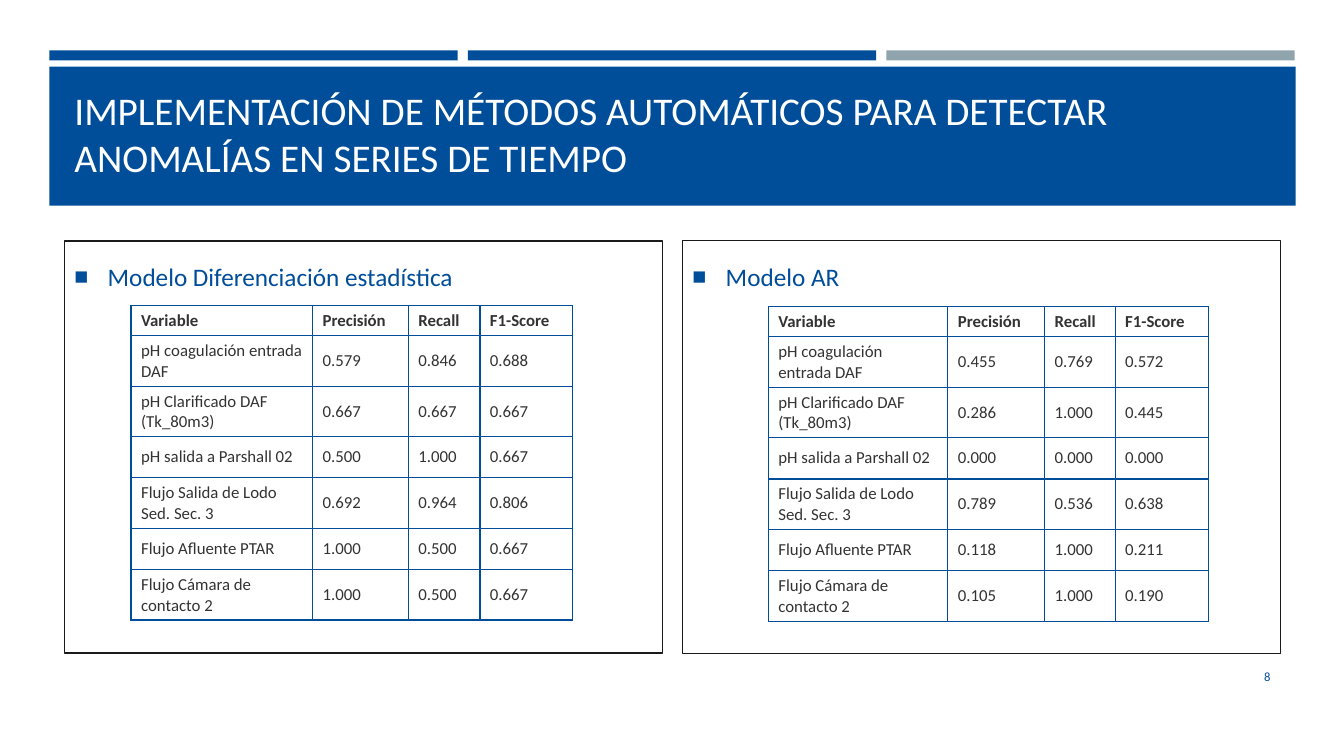
"""Slide comparing two anomaly detection models on plant time series."""
import pptx
import pptx.dml.color
import pptx.enum.shapes
import pptx.enum.text
import pptx.oxml
import pptx.oxml.ns
import pptx.util

Inches = pptx.util.Inches
Pt = pptx.util.Pt
MIDDLE = pptx.enum.text.MSO_ANCHOR.MIDDLE
COLORS = {"blue": "004D99", "gray": "90A4AE", "frame": "1A1A1A", "text": "333333", "white": "FFFFFF"}
NS = pptx.oxml.ns.nsdecls("a")

HEADER = ["Variable", "Precisión", "Recall", "F1-Score"]
VARIABLES = [
    "pH coagulación entrada DAF",
    "pH Clarificado DAF (Tk_80m3)",
    "pH salida a Parshall 02",
    "Flujo Salida de Lodo Sed. Sec. 3",
    "Flujo Afluente PTAR",
    "Flujo Cámara de contacto 2",
]
ROW_HEIGHTS = [0.3, 0.5, 0.5, 0.41, 0.5, 0.41, 0.5]
MODELS = [
    {
        "title": "Modelo Diferenciación estadística",
        "left": 0.64, "line": 1, "table": (1.3, 3.03), "cols": [1.8, 0.95, 0.71, 0.92],
        "scores": [
            ("0.579", "0.846", "0.688"),
            ("0.667", "0.667", "0.667"),
            ("0.500", "1.000", "0.667"),
            ("0.692", "0.964", "0.806"),
            ("1.000", "0.500", "0.667"),
            ("1.000", "0.500", "0.667"),
        ],
    },
    {
        "title": "Modelo AR",
        "left": 6.77, "line": 0.75, "table": (7.62, 3.04), "cols": [1.78, 0.96, 0.7, 0.93],
        "scores": [
            ("0.455", "0.769", "0.572"),
            ("0.286", "1.000", "0.445"),
            ("0.000", "0.000", "0.000"),
            ("0.789", "0.536", "0.638"),
            ("0.118", "1.000", "0.211"),
            ("0.105", "1.000", "0.190"),
        ],
    },
]


def add_rect(left, top, width, height, fill=None):
    sp = s.shapes.add_shape(pptx.enum.shapes.MSO_SHAPE.RECTANGLE,
                            Inches(left), Inches(top), Inches(width), Inches(height))
    sp.shadow.inherit = False
    sp.line.fill.background()
    if fill:
        sp.fill.solid()
        sp.fill.fore_color.rgb = pptx.dml.color.RGBColor.from_string(COLORS[fill])
    else:
        sp.fill.background()
    return sp


def write(tf, text, size, color, align="LEFT", bold=False):
    tf.word_wrap = True
    p = tf.paragraphs[0]
    p.text = text
    p.alignment = pptx.enum.text.PP_ALIGN[align]
    p.font.name = "Calibri"
    p.font.size = Pt(size)
    p.font.bold = bold
    p.font.color.rgb = pptx.dml.color.RGBColor.from_string(COLORS[color])
    return p


prs = pptx.Presentation()
prs.slide_width, prs.slide_height = Inches(13.33), Inches(7.5)
s = prs.slides.add_slide(prs.slide_layouts[6])

for i, color in enumerate(["blue", "blue", "gray"]):
    add_rect(0.49 + 4.15 * i, 0.5, 4.05, 0.1, color)
add_rect(0.49, 0.66, 12.36, 1.38, "blue")

title = s.shapes.add_textbox(Inches(0.64), Inches(0.77), Inches(12.06), Inches(1.11))
title.text_frame.vertical_anchor = MIDDLE
write(title.text_frame,
      "IMPLEMENTACIÓN DE MÉTODOS AUTOMÁTICOS PARA DETECTAR ANOMALÍAS EN SERIES DE TIEMPO", 28, "white")

for model in MODELS:
    panel = add_rect(model["left"], 2.39, 5.93, 4.09)
    panel.line.color.rgb = pptx.dml.color.RGBColor.from_string(COLORS["frame"])
    panel.line.width = Pt(model["line"])
    panel.text_frame.vertical_anchor = pptx.enum.text.MSO_ANCHOR.TOP
    p = write(panel.text_frame, model["title"], 18, "blue")
    p.line_spacing = 1.5
    p.space_after = Pt(6)
    pPr = p._p.get_or_add_pPr()
    pPr.set("marL", str(Inches(0.33)))
    pPr.set("indent", str(-Inches(0.33)))
    bullet = [
        f'<a:buClr {NS}><a:srgbClr val="{COLORS["blue"]}"/></a:buClr>',
        f'<a:buSzPct {NS} val="92000"/>',
        f'<a:buFont {NS} typeface="Arial"/>',
        f'<a:buChar {NS} char="■"/>',
    ]
    defaults = pPr.find(pptx.oxml.ns.qn("a:defRPr"))
    for xml in bullet:
        defaults.addprevious(pptx.oxml.parse_xml(xml))

    left, top = model["table"]
    table = s.shapes.add_table(len(ROW_HEIGHTS), len(HEADER), Inches(left), Inches(top),
                               Inches(sum(model["cols"])), Inches(sum(ROW_HEIGHTS))).table
    table.first_row = table.horz_banding = False
    for column, width in zip(table.columns, model["cols"]):
        column.width = Inches(width)
    for row, height in zip(table.rows, ROW_HEIGHTS):
        row.height = Inches(height)
    rows = [HEADER] + [[name, *scores] for name, scores in zip(VARIABLES, model["scores"])]
    for r, values in enumerate(rows):
        for c, value in enumerate(values):
            cell = table.cell(r, c)
            cell.vertical_anchor = MIDDLE
            write(cell.text_frame, value, 12, "text", bold=r == 0)
            tcPr = cell._tc.get_or_add_tcPr()
            for side in ("lnL", "lnR", "lnT", "lnB"):
                tcPr.append(pptx.oxml.parse_xml(
                    f'<a:{side} {NS} w="{Pt(1)}"><a:solidFill>'
                    f'<a:srgbClr val="{COLORS["blue"]}"/></a:solidFill></a:{side}>'))
            cell.fill.background()

number = s.shapes.add_textbox(Inches(11.55), Inches(6.51), Inches(1.15), Inches(0.4))
number.text_frame.vertical_anchor = MIDDLE
write(number.text_frame, "8", 9, "blue", "RIGHT")

prs.save("out.pptx")
